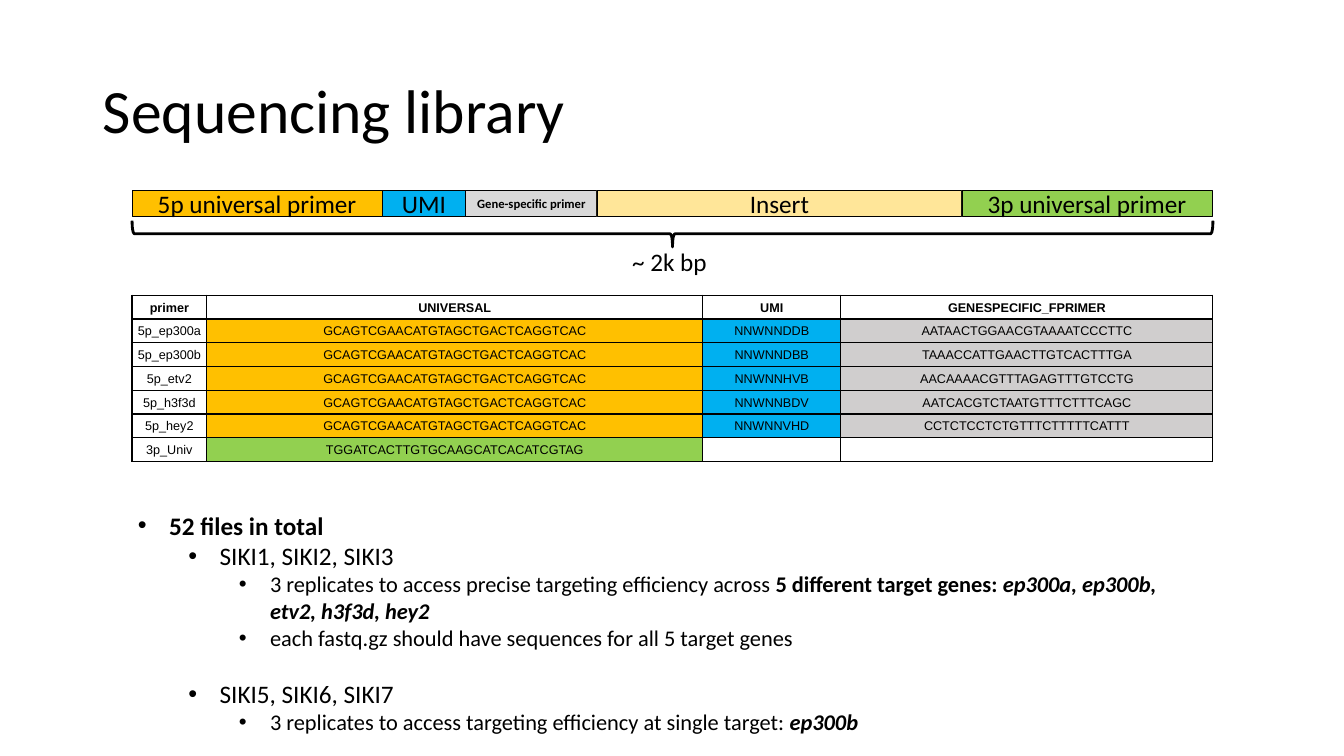
import pptx
import pptx.util
import pptx.dml.color
import pptx.enum.shapes
import pptx.enum.text
import pptx.oxml.ns
from lxml import etree

Inches, Pt = pptx.util.Inches, pptx.util.Pt
qn = pptx.oxml.ns.qn
ANCHOR = pptx.enum.text.MSO_ANCHOR
ALIGN = pptx.enum.text.PP_ALIGN
SHAPE = pptx.enum.shapes.MSO_SHAPE

COLORS = {
    "black": "000000", "orange": "FFC000", "blue": "00B0F0", "green": "92D050",
    "light": "D9D9D9", "gray": "D0CECE", "cream": "FFE699",
}
SEGMENTS = [
    ("5p universal primer", 2.48, "orange", {}),
    ("UMI", 0.83, "blue", {}),
    ("Gene-specific primer", 1.3, "light", {"size": 9, "bold": True}),
    ("Insert", 3.62, "cream", {}),
    ("3p universal primer", 2.48, "green", {}),
]
FORWARD = "GCAGTCGAACATGTAGCTGACTCAGGTCAC"
PRIMERS = [
    ("5p_ep300a", "NNWNNDDB", "AATAACTGGAACGTAAAATCCCTTC"),
    ("5p_ep300b", "NNWNNDBB", "TAAACCATTGAACTTGTCACTTTGA"),
    ("5p_etv2", "NNWNNHVB", "AACAAAACGTTTAGAGTTTGTCCTG"),
    ("5p_h3f3d", "NNWNNBDV", "AATCACGTCTAATGTTTCTTTCAGC"),
    ("5p_hey2", "NNWNNVHD", "CCTCTCCTCTGTTTCTTTTTCATTT"),
]
BOLD = {"bold": True}
GENE = {"bold": True, "italic": True}
NOTES = [
    (0, 0, [("52 files in total", BOLD)]),
    (1, 0, [("SIKI1, SIKI2, SIKI3", {})]),
    (2, 0, [("3 replicates to access precise targeting efficiency across ", {}),
            ("5 different target genes: ", BOLD),
            ("ep300a, ep300b, etv2, h3f3d, hey2", GENE)]),
    (2, 0, [("each fastq.gz should have sequences for all 5 target genes", {})]),
    (1, 19.5, [("SIKI5, SIKI6, SIKI7", {})]),
    (2, 0, [("3 replicates to access targeting efficiency at single target: ", {}),
            ("ep300b", GENE)]),
]


def rgb(name):
    return pptx.dml.color.RGBColor.from_string(COLORS[name])


def add_text(p, text, size=18, font="Calibri", bold=False, italic=False, align=None):
    r = p.add_run()
    r.text = text
    r.font.size, r.font.name = Pt(size), font
    r.font.bold, r.font.italic = bold, italic
    r.font.color.rgb = rgb("black")
    if align is not None:
        p.alignment = align


def add_title(s, x, y, w, h):
    sp = s.shapes.title
    sp.left, sp.top, sp.width, sp.height = map(Inches, (x, y, w, h))
    tf = sp.text_frame
    tf.vertical_anchor = ANCHOR.MIDDLE
    tf.auto_size = pptx.enum.text.MSO_AUTO_SIZE.NONE
    tf.paragraphs[0].line_spacing = 0.9
    add_text(tf.paragraphs[0], "Sequencing library", size=44, align=ALIGN.LEFT)


def add_library_bar(s, x, y, w, h):
    left = x
    for text, width, color, fmt in SEGMENTS:
        sp = s.shapes.add_shape(SHAPE.RECTANGLE, Inches(left), Inches(y), Inches(width), Inches(h))
        sp.shadow.inherit = False
        sp.fill.solid()
        sp.fill.fore_color.rgb = rgb(color)
        sp.line.color.rgb = rgb("black")
        sp.line.width = Pt(0.5)
        sp.text_frame.vertical_anchor = ANCHOR.MIDDLE
        add_text(sp.text_frame.paragraphs[0], text, align=ALIGN.CENTER, **fmt)
        left += width

    brace_y = y + h + 0.04
    sp = s.shapes.add_shape(SHAPE.RIGHT_BRACE, Inches(x + w / 2 - h / 2),
                            Inches(brace_y + h / 2 - w / 2), Inches(h), Inches(w))
    sp.rotation = 90
    sp.shadow.inherit = False
    sp.fill.background()
    sp.line.color.rgb = rgb("black")
    sp.line.width = Pt(2)

    sp = s.shapes.add_textbox(Inches(x + w / 2 - 0.5), Inches(y + 0.5), Inches(0.98), Inches(0.4))
    sp.text_frame.word_wrap = True
    add_text(sp.text_frame.paragraphs[0], "~ 2k bp")


def add_cell(cell, text, color, bold):
    cell.margin_left = cell.margin_top = cell.margin_right = Inches(0.01)
    cell.margin_bottom = 0
    cell.vertical_anchor = ANCHOR.MIDDLE
    if color:
        cell.fill.solid()
        cell.fill.fore_color.rgb = rgb(color)
    else:
        cell.fill.background()
    tcPr = cell._tc.get_or_add_tcPr()
    for i, side in enumerate(("lnL", "lnR", "lnT", "lnB")):
        ln = etree.Element(qn("a:" + side), w=str(Pt(1)))
        fill = etree.SubElement(ln, qn("a:solidFill"))
        etree.SubElement(fill, qn("a:srgbClr"), val=COLORS["black"])
        tcPr.insert(i, ln)
    p = cell.text_frame.paragraphs[0]
    if text:
        add_text(p, text, size=9, font="Arial", bold=bold, align=ALIGN.CENTER)
    else:
        etree.SubElement(p._p, qn("a:endParaRPr"), sz="900")


def add_primer_table(s, x, y, w, h):
    rows = [("primer", "UNIVERSAL", "UMI", "GENESPECIFIC_FPRIMER")]
    rows += [(name, FORWARD, umi, gene) for name, umi, gene in PRIMERS]
    rows += [("3p_Univ", "TGGATCACTTGTGCAAGCATCACATCGTAG", "", "")]
    plain = (None,) * 4
    fills = [plain] + [(None, "orange", "blue", "gray")] * len(PRIMERS)
    fills += [(None, "green", None, None)]
    table = s.shapes.add_table(len(rows), 4, Inches(x), Inches(y), Inches(w), Inches(h)).table
    table.horz_banding = False
    for col, width in zip(table.columns, (0.74, 4.92, 1.37, 3.69)):
        col.width = Inches(width)
    for i, (texts, colors) in enumerate(zip(rows, fills)):
        table.rows[i].height = Inches(h / len(rows))
        for j, (text, color) in enumerate(zip(texts, colors)):
            add_cell(table.cell(i, j), text, color, bold=i == 0)


def add_notes_list(s, x, y, w, h):
    tf = s.shapes.add_textbox(Inches(x), Inches(y), Inches(w), Inches(h)).text_frame
    tf.word_wrap = True
    for i, (level, before, runs) in enumerate(NOTES):
        p = tf.add_paragraph() if i else tf.paragraphs[0]
        p.level = level
        pPr = p._p.get_or_add_pPr()
        pPr.set("marL", str(Inches(0.31 + 0.5 * level)))
        pPr.set("indent", str(Inches(-0.31)))
        etree.SubElement(pPr, qn("a:buFont"), typeface="Arial")
        etree.SubElement(pPr, qn("a:buChar"), char="•")
        if before:
            p.space_before = Pt(before)
        for text, fmt in runs:
            add_text(p, text, size=16 if level == 2 else 18, **fmt)


def main():
    prs = pptx.Presentation()
    prs.slide_width, prs.slide_height = Inches(13.33), Inches(7.5)
    s = prs.slides.add_slide(prs.slide_layouts[5])
    add_title(s, 0.92, 0.4, 11.5, 1.45)
    add_notes_list(s, 1.27, 5.01, 10.75, 2.36)
    add_library_bar(s, 1.31, 1.89, 10.72, 0.26)
    add_primer_table(s, 1.31, 2.93, 10.72, 1.65)
    prs.save("out.pptx")


if __name__ == "__main__":
    main()
